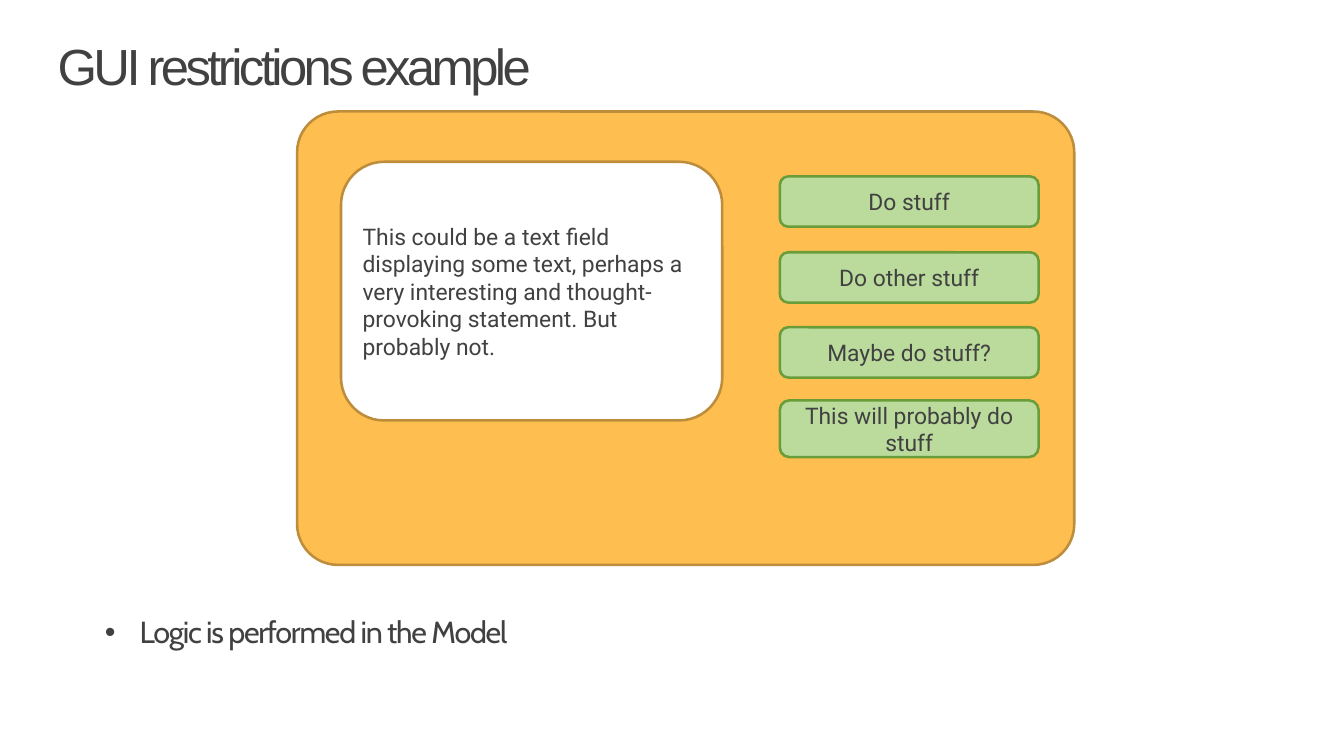
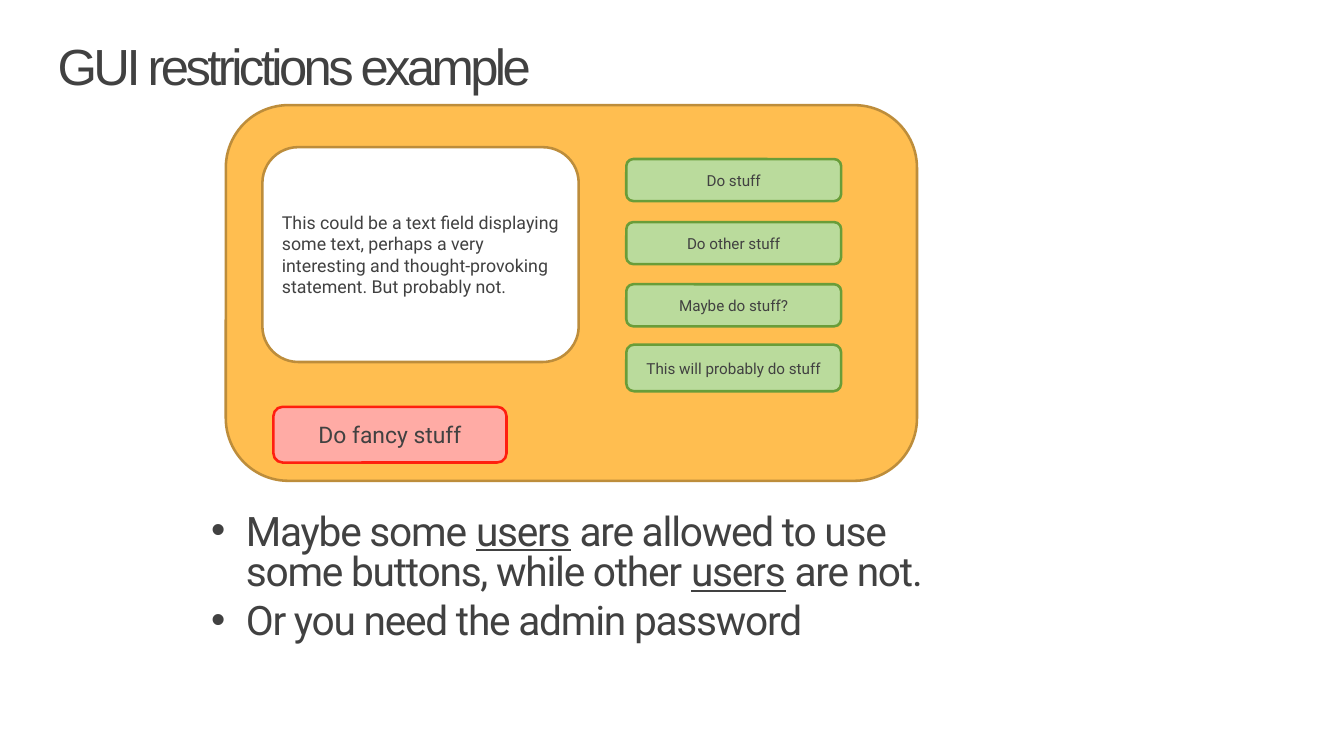
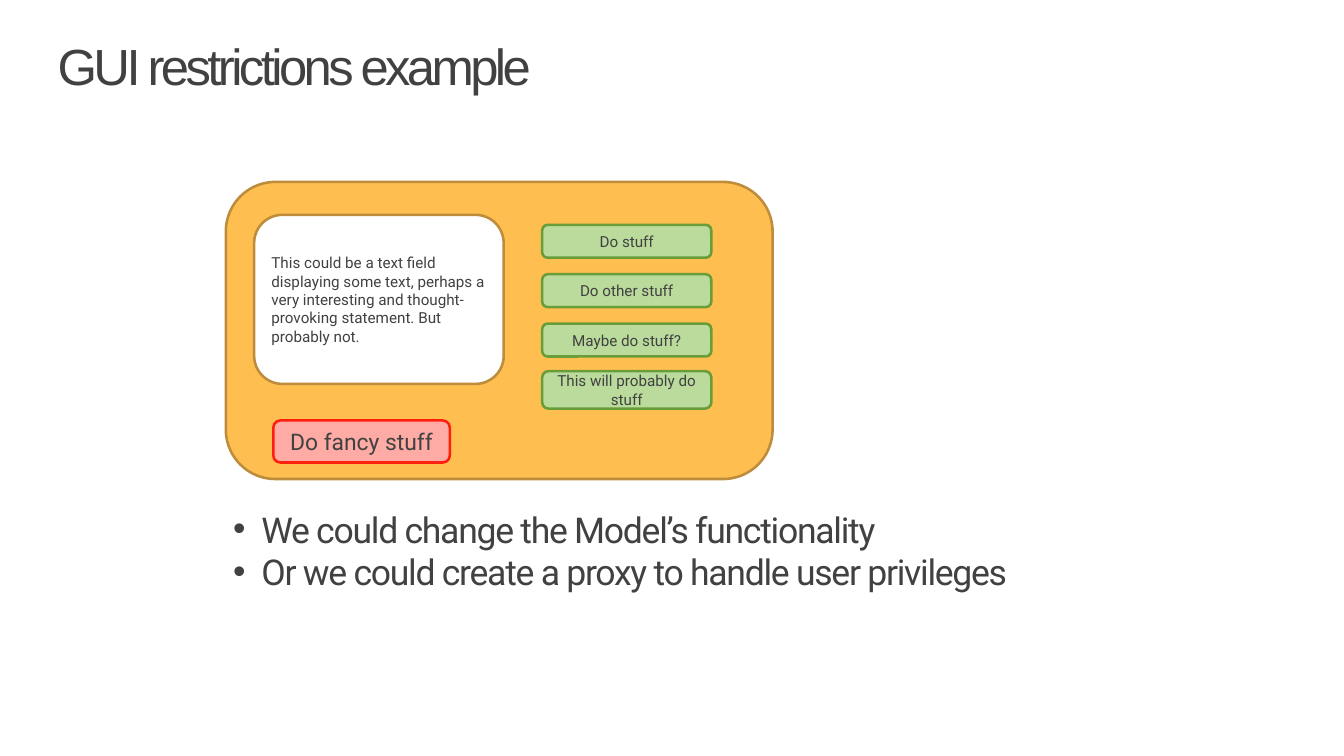
from dataclasses import dataclass
from typing import NamedTuple

from lxml import etree
from pptx import Presentation
from pptx.dml.color import RGBColor
from pptx.enum.shapes import MSO_SHAPE
from pptx.enum.text import MSO_ANCHOR, PP_ALIGN
from pptx.oxml.ns import qn
from pptx.util import Emu, Pt

ROUNDED = MSO_SHAPE.ROUNDED_RECTANGLE
TOP = MSO_ANCHOR.TOP
MIDDLE = MSO_ANCHOR.MIDDLE
LEFT = PP_ALIGN.LEFT
CENTER = PP_ALIGN.CENTER
EMU_PER_PX = 9144


def px(length: int) -> Emu:
    return Emu(length * EMU_PER_PX)


class Box(NamedTuple):
    left: int
    top: int
    width: int
    height: int

    def inside(self, parent: "Box", scale: float) -> "Box":
        return Box(
            parent.left + round(self.left * scale),
            parent.top + round(self.top * scale),
            round(self.width * scale),
            round(self.height * scale),
        )


class Paint(NamedTuple):
    fill: RGBColor
    line: RGBColor


class TextStyle(NamedTuple):
    font: str
    size: int
    spacing: float = 0


class Span(NamedTuple):
    text: str
    underline: bool = False


@dataclass(frozen=True)
class Theme:
    ink: RGBColor = RGBColor(0x41, 0x41, 0x41)
    panel: Paint = Paint(RGBColor(0xFF, 0xBE, 0x50), RGBColor(0xBD, 0x8D, 0x3B))
    field: Paint = Paint(RGBColor(0xFF, 0xFF, 0xFF), RGBColor(0xBD, 0x8D, 0x3B))
    button: Paint = Paint(RGBColor(0xBA, 0xDB, 0x9C), RGBColor(0x69, 0x9D, 0x39))
    restricted: Paint = Paint(RGBColor(0xFF, 0xAB, 0xA5), RGBColor(0xFF, 0x1F, 0x0F))
    outline: int = 2
    title: TextStyle = TextStyle("Arial", 40, -2.8)
    large: TextStyle = TextStyle("Roboto", 18)
    medium: TextStyle = TextStyle("Roboto", 14)
    small: TextStyle = TextStyle("Roboto", 12)
    logic_note: TextStyle = TextStyle("Cabin", 24, -1)
    access_note: TextStyle = TextStyle("Roboto", 32, -1)
    proxy_note: TextStyle = TextStyle("Roboto", 28, -1)
    title_leading: float = 0.73
    note_leading: float = 0.83
    note_gap: float = 0.2


THEME = Theme()


@dataclass(frozen=True)
class Window:
    panel: Box
    scale: float
    field_style: TextStyle
    button_style: TextStyle
    corner: float | None = None
    restricted: Box | None = None


@dataclass(frozen=True)
class Notes:
    box: Box
    style: TextStyle
    indent: int
    paragraphs: list[list[Span]]
    margin: tuple[int, int] = (0, 0)


@dataclass(frozen=True)
class Page:
    window: Window
    notes: Notes


SLIDE_SIZE = (1470, 827)
TITLE = "GUI restrictions example"
TITLE_BOX = Box(63, 43, 1407, 102)
FIELD_TEXT = (
    "This could be a text field displaying some text, perhaps a very interesting "
    "and thought-provoking statement. But probably not."
)
FIELD_BOX = Box(48, 55, 417, 283)
BUTTONS = [
    ("Do stuff", Box(528, 71, 283, 55)),
    ("Do other stuff", Box(528, 154, 283, 55)),
    ("Maybe do stuff?", Box(528, 236, 283, 55)),
    ("This will probably do stuff", Box(528, 316, 283, 62)),
]

PAGES = [
    Page(
        Window(Box(325, 122, 850, 496), 1, THEME.large, THEME.large, corner=0.09),
        Notes(
            Box(105, 673, 973, 44),
            THEME.logic_note,
            38,
            [[Span("Logic is performed in the Model")]],
            margin=(10, 5),
        ),
    ),
    Page(
        Window(
            Box(247, 115, 756, 411),
            0.83,
            THEME.medium,
            THEME.small,
            restricted=Box(299, 445, 255, 61),
        ),
        Notes(
            Box(231, 562, 851, 200),
            THEME.access_note,
            38,
            [
                [
                    Span("Maybe some "),
                    Span("users", True),
                    Span(" are allowed to use some buttons, while other "),
                    Span("users", True),
                    Span(" are not."),
                ],
                [Span("Or you need the admin password")],
            ],
        ),
    ),
    Page(
        Window(
            Box(247, 199, 598, 325),
            0.655,
            THEME.small,
            THEME.small,
            restricted=Box(299, 460, 193, 46),
        ),
        Notes(
            Box(255, 563, 877, 88),
            THEME.proxy_note,
            31,
            [
                [Span("We could change the Model’s functionality")],
                [Span("Or we could create a proxy to handle user privileges")],
            ],
        ),
    ),
]


def add_run(paragraph, span: Span, style: TextStyle) -> None:
    run = paragraph.add_run()
    run.text = span.text
    run.font.name = style.font
    run.font.size = Pt(style.size)
    run.font.color.rgb = THEME.ink
    if span.underline:
        run.font.underline = True
    if style.spacing:
        run._r.get_or_add_rPr().set("spc", str(round(style.spacing * 100)))


def add_bullet(paragraph, indent: int) -> None:
    properties = paragraph._p.get_or_add_pPr()
    properties.set("marL", str(px(indent)))
    properties.set("indent", str(-px(indent)))
    etree.SubElement(properties, qn("a:buFont")).set("typeface", "Arial")
    etree.SubElement(properties, qn("a:buChar")).set("char", "•")


def add_text_frame(slide, box: Box, margins: tuple[int, int, int, int]):
    frame = slide.shapes.add_textbox(*map(px, box)).text_frame
    frame.word_wrap = True
    frame.vertical_anchor = TOP
    frame.margin_left, frame.margin_top, frame.margin_right, frame.margin_bottom = map(
        px, margins
    )
    return frame


def add_title(slide) -> None:
    paragraph = add_text_frame(slide, TITLE_BOX, (0, 12, 0, 0)).paragraphs[0]
    paragraph.line_spacing = THEME.title_leading
    add_run(paragraph, Span(TITLE), THEME.title)


def add_rounded_box(slide, box: Box, paint: Paint):
    shape = slide.shapes.add_shape(ROUNDED, *map(px, box))
    shape.shadow.inherit = False
    shape.fill.solid()
    shape.fill.fore_color.rgb = paint.fill
    shape.line.color.rgb = paint.line
    shape.line.width = Pt(THEME.outline)
    return shape


def add_label(
    slide,
    box: Box,
    paint: Paint,
    text: str,
    style: TextStyle,
    alignment: PP_ALIGN = CENTER,
) -> None:
    frame = add_rounded_box(slide, box, paint).text_frame
    frame.word_wrap = True
    frame.vertical_anchor = MIDDLE
    paragraph = frame.paragraphs[0]
    paragraph.alignment = alignment
    add_run(paragraph, Span(text), style)


def add_window(slide, window: Window) -> None:
    panel = add_rounded_box(slide, window.panel, THEME.panel)
    if window.corner is not None:
        panel.adjustments[0] = window.corner
    field_box = FIELD_BOX.inside(window.panel, window.scale)
    add_label(slide, field_box, THEME.field, FIELD_TEXT, window.field_style, LEFT)
    for text, box in BUTTONS:
        button_box = box.inside(window.panel, window.scale)
        add_label(slide, button_box, THEME.button, text, window.button_style)
    if window.restricted is not None:
        add_label(
            slide, window.restricted, THEME.restricted, "Do fancy stuff", THEME.large
        )


def add_notes(slide, notes: Notes) -> None:
    frame = add_text_frame(slide, notes.box, notes.margin * 2)
    for index, spans in enumerate(notes.paragraphs):
        paragraph = frame.add_paragraph() if index else frame.paragraphs[0]
        add_bullet(paragraph, notes.indent)
        paragraph.line_spacing = THEME.note_leading
        if index:
            paragraph.space_before = Pt(notes.style.size * THEME.note_gap)
        for span in spans:
            add_run(paragraph, span, notes.style)


def main() -> None:
    presentation = Presentation()
    presentation.slide_width, presentation.slide_height = map(px, SLIDE_SIZE)
    blank_layout = presentation.slide_layouts[6]
    for page in PAGES:
        slide = presentation.slides.add_slide(blank_layout)
        add_title(slide)
        add_window(slide, page.window)
        add_notes(slide, page.notes)
    presentation.save("out.pptx")


if __name__ == "__main__":
    main()
